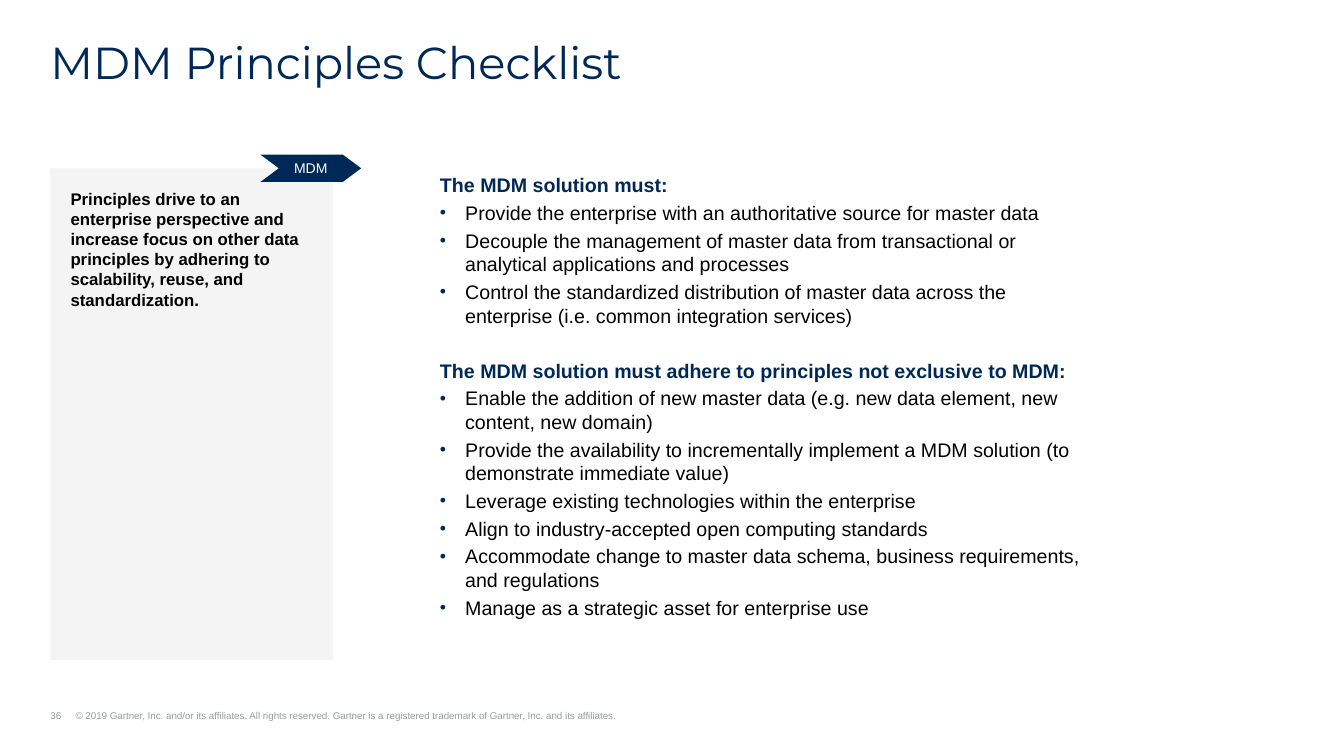
from lxml import etree
from pptx import Presentation, util as u
from pptx.dml.color import RGBColor
from pptx.enum import shapes, text
from pptx.oxml import ns

NAVY, BLACK, WHITE, PANEL, GREY = "002856", "000000", "FFFFFF", "F4F4F4", "979D9D"
INDENT = 18

SECTIONS = [
    ("The MDM solution must:", [
        "Provide the enterprise with an authoritative source for master data",
        "Decouple the management of master data from transactional or analytical applications and processes",
        "Control the standardized distribution of master data across the enterprise (i.e. common integration services)",
    ]),
    ("The MDM solution must adhere to principles not exclusive to MDM:", [
        "Enable the addition of new master data (e.g. new data element, new content, new domain)",
        "Provide the availability to incrementally implement a MDM solution (to demonstrate immediate value)",
        "Leverage existing technologies within the enterprise",
        "Align to industry-accepted open computing standards",
        "Accommodate change to master data schema, business requirements, and regulations",
        "Manage as a strategic asset for enterprise use",
    ]),
]


def color(value):
    return RGBColor.from_string(value)


def add_child(parent, tag, **attributes):
    child = etree.SubElement(parent, ns.qn(tag))
    for name, value in attributes.items():
        child.set(name, str(value))
    return child


def set_hanging(para):
    properties = para._p.get_or_add_pPr()
    properties.set("marL", str(u.Pt(INDENT)))
    properties.set("indent", str(u.Pt(-INDENT)))
    return properties


def add_bullet(para):
    properties = set_hanging(para)
    add_child(add_child(properties, "a:buClr"), "a:srgbClr", val=NAVY)
    add_child(properties, "a:buSzPct", val=90000)
    add_child(properties, "a:buFont", typeface="Arial")
    add_child(properties, "a:buChar", char="•")


def add_span(para, words, size, fill, bold=False, font="Arial"):
    span = para.add_run()
    span.text = words
    span.font.size = u.Pt(size)
    span.font.name = font
    span.font.bold = bold
    span.font.color.rgb = color(fill)


def set_frame(shape, insets, anchor=text.MSO_ANCHOR.TOP):
    frame = shape.text_frame
    frame.word_wrap = True
    frame.vertical_anchor = anchor
    frame.margin_left, frame.margin_top, frame.margin_right, frame.margin_bottom = map(u.Pt, insets)
    return frame


def add_box(page, box, insets=(0, 0, 0, 0), anchor=text.MSO_ANCHOR.TOP):
    return set_frame(page.shapes.add_textbox(*map(u.Pt, box)), insets, anchor)


def paint(shape, fill):
    shape.shadow.inherit = False
    shape.fill.solid()
    shape.fill.fore_color.rgb = color(fill)
    shape.line.fill.background()


def draw_title(page, box):
    para = add_box(page, box).paragraphs[0]
    para.line_spacing = 0.9
    add_span(para, "MDM Principles Checklist", 32, NAVY, font="Montserrat")


def draw_footer(page, box):
    para = add_box(page, box, anchor=text.MSO_ANCHOR.BOTTOM).paragraphs[0]
    tabs = add_child(set_hanging(para), "a:tabLst")
    add_child(tabs, "a:tab", pos=u.Pt(INDENT), algn="l")
    add_span(para, "36\t© 2019 Gartner, Inc. and/or its affiliates. All rights reserved.\u00a0"
             "Gartner is a registered trademark of Gartner, Inc. and its affiliates.", 7, GREY)


def draw_panel(page, box):
    panel = page.shapes.add_shape(shapes.MSO_SHAPE.RECTANGLE, *map(u.Pt, box))
    paint(panel, PANEL)
    para = set_frame(panel, (14.4, 14.4, 7.2, 14.4)).paragraphs[0]
    para.alignment = text.PP_ALIGN.LEFT
    add_span(para, "Principles drive to an enterprise perspective and increase focus on other data "
             "principles by adhering to scalability, reuse, and standardization.", 12, BLACK, True)


def draw_tag(page, box):
    left, top, width, height = box
    right, middle, bottom, notch = left + width, top + height / 2, top + height, 13.2
    outline = [(right - notch, top), (right, middle), (right - notch, bottom),
               (left, bottom), (left + notch, middle), (left, top)]
    points = [(u.Pt(x), u.Pt(y)) for x, y in outline]
    builder = page.shapes.build_freeform(*points[0])
    builder.add_line_segments(points[1:], close=True)
    tag = builder.convert_to_shape()
    paint(tag, NAVY)
    para = set_frame(tag, (7.2, 3.6, 7.2, 3.6), text.MSO_ANCHOR.MIDDLE).paragraphs[0]
    para.alignment = text.PP_ALIGN.CENTER
    add_span(para, "MDM", 10, WHITE)


def draw_checklist(page, box):
    frame = add_box(page, box, (7.2, 3.6, 7.2, 3.6))
    for index, (heading, principles) in enumerate(SECTIONS):
        para = frame.add_paragraph() if index else frame.paragraphs[0]
        if index:
            para.space_before = u.Pt(19.5)
        para.space_after = u.Pt(3)
        add_span(para, heading, 14, NAVY, True)
        for principle in principles:
            para = frame.add_paragraph()
            add_bullet(para)
            para.space_after = u.Pt(3)
            add_span(para, principle, 14, BLACK)


def main():
    deck = Presentation()
    deck.slide_width, deck.slide_height = u.Pt(960), u.Pt(540)
    page = deck.slides.add_slide(deck.slide_layouts[6])
    draw_footer(page, (36, 506.9, 575, 8.6))
    draw_title(page, (36, 28.8, 888, 34.6))
    draw_panel(page, (36, 120.2, 201.6, 351.4))
    draw_checklist(page, (307.2, 120.2, 480, 329))
    draw_tag(page, (186, 110.4, 72, 19.6))
    deck.save("out.pptx")


if __name__ == "__main__":
    main()
